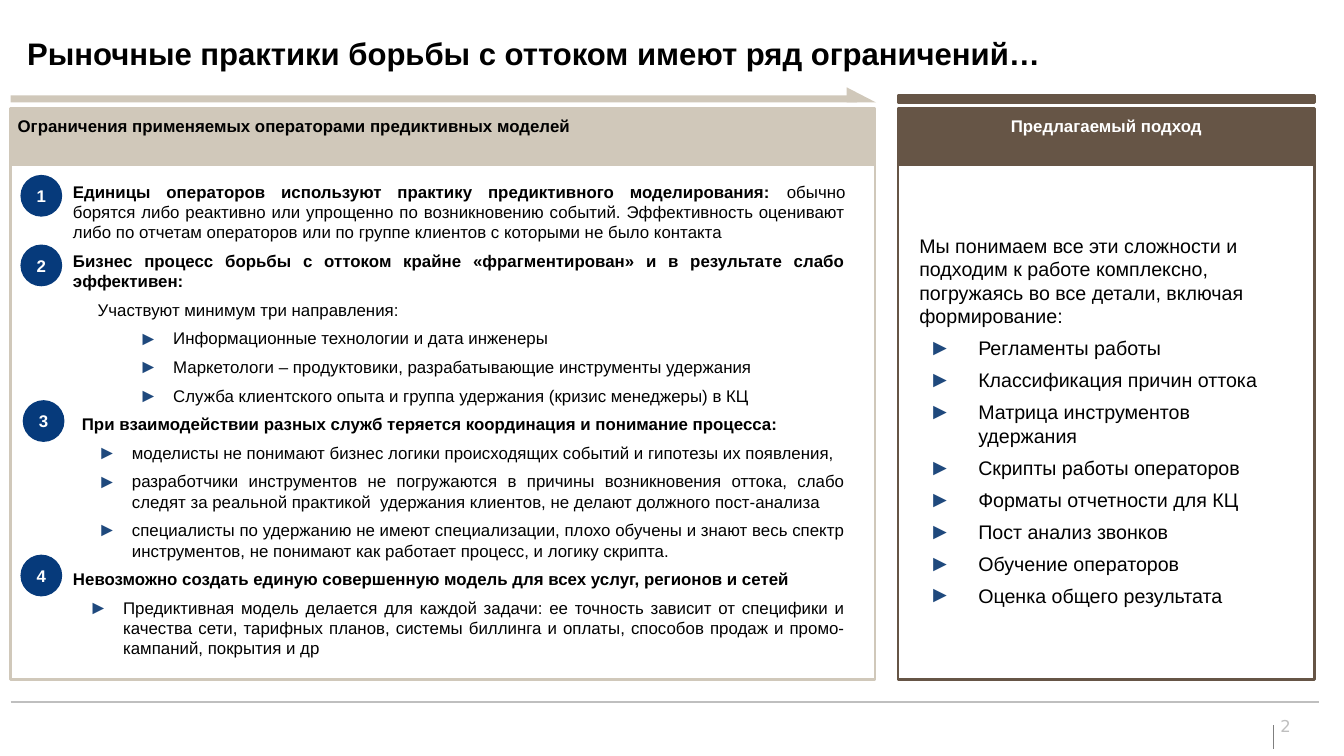
from lxml import etree
from pptx import Presentation
from pptx.dml.color import RGBColor
from pptx.enum import shapes, text
from pptx.oxml import ns
from pptx.util import Pt

BLACK = RGBColor(0x00, 0x00, 0x00)
WHITE = RGBColor(0xFF, 0xFF, 0xFF)
SAND = RGBColor(0xD0, 0xC8, 0xBA)
BROWN = RGBColor(0x66, 0x55, 0x46)
NAVY = RGBColor(0x06, 0x3A, 0x7B)
BULLET_BLUE = RGBColor(0x1F, 0x49, 0x7D)
RULE_GREY = RGBColor(0xBF, 0xBF, 0xBF)
TICK_GREY = RGBColor(0x7F, 0x7F, 0x7F)

SHAPE = shapes.MSO_SHAPE
ALIGN = text.PP_ALIGN
ANCHOR = text.MSO_ANCHOR

PANEL_TOP, PANEL_HEIGHT = 67, 347.8
HEADER_TOP, HEADER_HEIGHT = 66.2, 34.6
BAR_TOP, BAR_HEIGHT = 58.3, 4.3
LEFT_X, LEFT_WIDTH = 6.5, 527.8
RIGHT_X, RIGHT_WIDTH = 548.6, 254.2
BADGE_SIZE = 24.5

# Paragraph kinds: level, left margin, hanging indent of the bullet, bold
HEADING = (0, 20.9, 0, True)
SHIFTED_HEADING = (0, 26.3, 0, True)
INTRO = (1, 36, 0, False)
DIRECTION = (2, 82.1, 20.9, False)
ISSUE = (1, 56.9, 20.9, False)
CONCLUSION = (1, 51.5, 20.9, False)
LEAD = (0, 0, 0, False)
DELIVERABLE = (1, 36, 30.2, False)

LIMITATIONS = [
    (HEADING, "Единицы операторов используют практику предиктивного моделирования: ",
     "обычно борятся либо реактивно или упрощенно по возникновению событий. "
     "Эффективность оценивают либо по отчетам операторов или по группе клиентов "
     "с которыми не было контакта"),
    (HEADING, "Бизнес процесс борьбы с оттоком крайне «фрагментирован» и в результате "
     "слабо эффективен:"),
    (INTRO, "Участвуют минимум три направления:"),
    (DIRECTION, "Информационные технологии и дата инженеры"),
    (DIRECTION, "Маркетологи – продуктовики, разрабатывающие инструменты удержания"),
    (DIRECTION, "Служба клиентского опыта и группа удержания (кризис менеджеры) в КЦ"),
    (SHIFTED_HEADING, "При взаимодействии разных служб теряется координация и "
     "понимание процесса:"),
    (ISSUE, "моделисты не понимают бизнес логики происходящих событий и гипотезы "
     "их появления,"),
    (ISSUE, "разработчики инструментов не погружаются в причины возникновения оттока, "
     "слабо следят за реальной практикой  удержания клиентов, не делают должного "
     "пост-анализа"),
    (ISSUE, "специалисты по удержанию не имеют специализации, плохо обучены и знают "
     "весь спектр инструментов, не понимают как работает процесс, и логику скрипта."),
    (HEADING, "Невозможно создать единую совершенную модель для всех услуг, регионов и сетей"),
    (CONCLUSION, "Предиктивная модель делается для каждой задачи: ее точность зависит от "
     "специфики и качества сети, тарифных планов, системы биллинга и оплаты, "
     "способов продаж и промо- кампаний, покрытия и др"),
]
APPROACH = [
    (LEAD, "Мы понимаем все эти сложности и подходим к работе комплексно, "
     "погружаясь во все детали, включая формирование:"),
] + [(DELIVERABLE, item) for item in (
    "Регламенты работы", "Классификация причин оттока",
    "Матрица инструментов удержания", "Скрипты работы операторов",
    "Форматы отчетности для КЦ", "Пост анализ звонков",
    "Обучение операторов", "Оценка общего результата")]
BADGES = [(13, 107.3), (13, 149.8), (14.4, 244.8), (13, 339.1)]


def apply(target, formats):
    for attribute, value in formats.items():
        setattr(target, attribute, value)


def add_bullet(paragraph):
    """Give the paragraph a blue triangle bullet."""
    properties = paragraph._p.get_or_add_pPr()
    color = etree.SubElement(properties, ns.qn("a:buClr"))
    etree.SubElement(color, ns.qn("a:srgbClr"), val=str(BULLET_BLUE))
    etree.SubElement(properties, ns.qn("a:buSzPct"), val="115000")
    etree.SubElement(properties, ns.qn("a:buFont"), typeface="Arial")
    etree.SubElement(properties, ns.qn("a:buChar"), char="►")


class SlideBuilder:
    """Holds the text style and the slide being drawn."""

    def __init__(self, slide, font_name="Arial", size=10.3):
        self.slide = slide
        self.font_name = font_name
        self.size = size

    def run(self, paragraph, words, color=BLACK, **formats):
        run = paragraph.add_run()
        run.text = words
        apply(run.font, {"name": self.font_name, "size": Pt(self.size), **formats})
        run.font.color.rgb = color

    def frame(self, frame, insets=(7.2, 3.6, 7.2, 3.6), **formats):
        sides = ("margin_left", "margin_top", "margin_right", "margin_bottom")
        apply(frame, dict(zip(sides, map(Pt, insets))))
        apply(frame, {"word_wrap": True, "auto_size": text.MSO_AUTO_SIZE.NONE,
                      "vertical_anchor": ANCHOR.TOP, **formats})
        return frame.paragraphs[0]

    def title(self, box, words):
        title = self.slide.shapes.title
        apply(title, dict(zip(("left", "top", "width", "height"), map(Pt, box))))
        paragraph = self.frame(title.text_frame, (0, 0, 0, 0),
                               vertical_anchor=ANCHOR.BOTTOM)
        paragraph.alignment = ALIGN.LEFT
        self.run(paragraph, words, size=Pt(19), bold=True)

    def shape(self, kind, box, fill=None, line=None, line_width=1.5):
        shape = self.slide.shapes.add_shape(kind, *map(Pt, box))
        shape.shadow.inherit = False
        for part, color in ((shape.fill, fill), (shape.line.fill, line)):
            if color is None:
                part.background()
            else:
                part.solid()
                part.fore_color.rgb = color
        if line is not None:
            shape.line.width = Pt(line_width)
        return shape

    def panel(self, left, width, color, heading, heading_color, alignment):
        self.shape(SHAPE.RECTANGLE, (left, PANEL_TOP, width, PANEL_HEIGHT), line=color)
        header = self.shape(SHAPE.RECTANGLE, (left, HEADER_TOP, width, HEADER_HEIGHT),
                            color, color)
        paragraph = self.frame(header.text_frame, (4.3, 4.3, 4.3, 0))
        paragraph.alignment = alignment
        self.run(paragraph, heading, heading_color, bold=True)

    def badge(self, left, top, number):
        badge = self.shape(SHAPE.OVAL, (left, top, BADGE_SIZE, BADGE_SIZE), NAVY, NAVY, 1)
        paragraph = self.frame(badge.text_frame, (6.5, 2.9, 6.5, 2.9), word_wrap=False,
                               vertical_anchor=ANCHOR.MIDDLE)
        paragraph.alignment = ALIGN.CENTER
        self.run(paragraph, str(number), WHITE, bold=True)

    def text_list(self, box, items, alignment, size):
        """Write (kind, text, optional plain tail) items as paragraphs."""
        frame = self.slide.shapes.add_textbox(*map(Pt, box)).text_frame
        paragraph = self.frame(frame)
        for index, ((level, margin, hanging, bold), words, *tail) in enumerate(items):
            if index:
                paragraph = frame.add_paragraph()
            apply(paragraph, {"level": level, "alignment": alignment,
                              "space_before": Pt(5.1)})
            properties = paragraph._p.get_or_add_pPr()
            properties.set("marL", str(Pt(margin)))
            properties.set("indent", str(-Pt(hanging)))
            if hanging:
                add_bullet(paragraph)
            self.run(paragraph, words, size=Pt(size), bold=bold)
            for words in tail:
                self.run(paragraph, words, size=Pt(size), bold=False)

    def page_number(self, box, number):
        frame = self.slide.shapes.add_textbox(*map(Pt, box)).text_frame
        self.run(self.frame(frame, (0, 0, 0, 0)), str(number), RULE_GREY,
                 name="DejaVu Sans", size=Pt(10))

    def line(self, start, end, color, width):
        line = self.slide.shapes.add_connector(
            shapes.MSO_CONNECTOR.STRAIGHT, *map(Pt, start + end))
        line.line.color.rgb = color
        line.line.width = Pt(width)
        etree.SubElement(line._element.spPr, ns.qn("a:effectLst"))


def main():
    deck = Presentation()
    apply(deck, {"slide_width": Pt(820.8), "slide_height": Pt(461.5)})
    builder = SlideBuilder(deck.slides.add_slide(deck.slide_layouts[5]))

    builder.line((777.6, 442.8), (777.6, 457.2), TICK_GREY, 0.75)
    builder.line((6.5, 428.4), (805.7, 428.4), RULE_GREY, 1)
    builder.title((16.6, 20.9, 787.7, 23), "Рыночные практики борьбы с оттоком имеют ряд ограничений…")
    builder.page_number((781.9, 437, 31, 12.2), 2)

    builder.shape(SHAPE.RECTANGLE, (LEFT_X, BAR_TOP, 517, BAR_HEIGHT), SAND)
    arrow_tip = builder.shape(SHAPE.ISOSCELES_TRIANGLE, (517, 53.3, 18, 9.3), SAND)
    arrow_tip.adjustments[0] = 0
    builder.shape(SHAPE.RECTANGLE, (RIGHT_X, BAR_TOP, RIGHT_WIDTH, BAR_HEIGHT), BROWN, BROWN)

    builder.panel(LEFT_X, LEFT_WIDTH, SAND,
                  "Ограничения применяемых операторами предиктивных моделей", BLACK, ALIGN.LEFT)
    builder.panel(RIGHT_X, RIGHT_WIDTH, BROWN, "Предлагаемый подход", WHITE, ALIGN.CENTER)
    builder.text_list((16.6, 107.3, 506.9, 298.8), LIMITATIONS, ALIGN.JUSTIFY, 10.3)
    builder.text_list((554.4, 139, 242.6, 236.2), APPROACH, ALIGN.LEFT, 12)
    for number, (left, top) in enumerate(BADGES, 1):
        builder.badge(left, top, number)

    deck.save("out.pptx")


if __name__ == "__main__":
    main()
